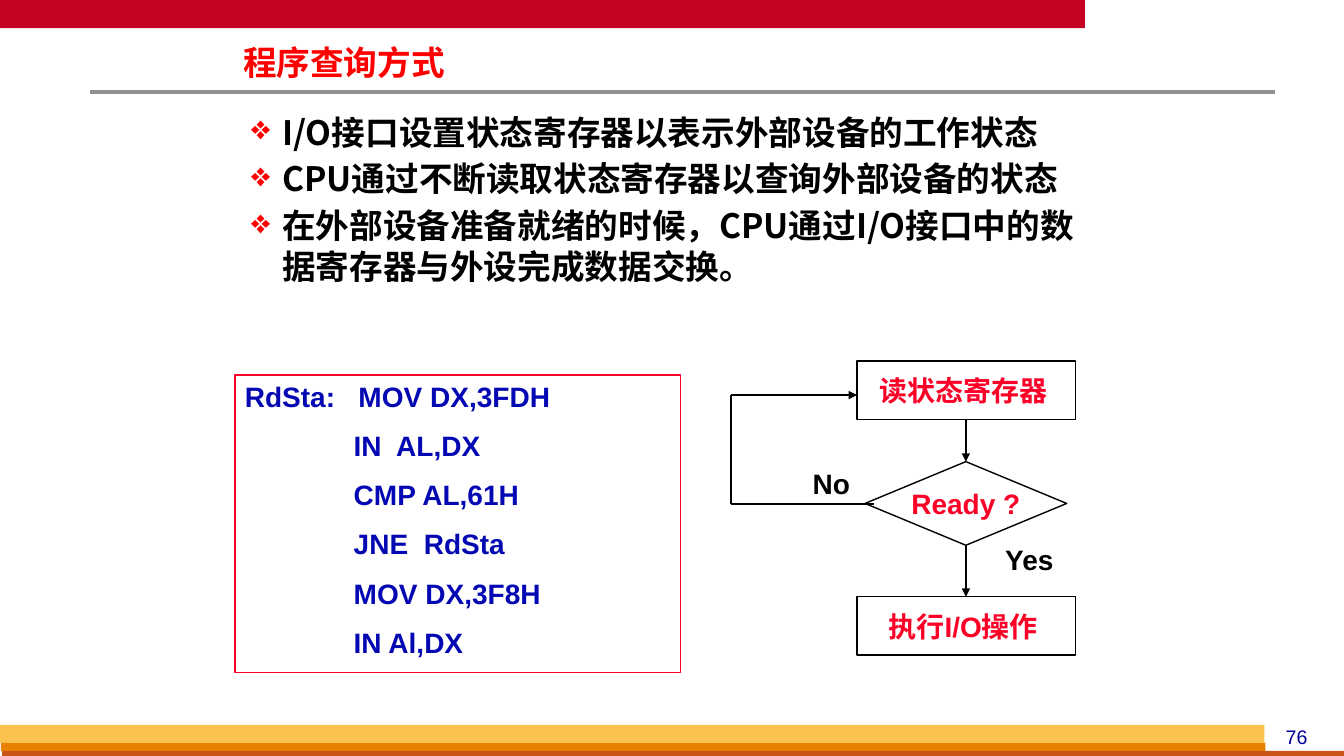
from lxml import etree
from pptx import Presentation
from pptx.dml.color import RGBColor
from pptx.enum.shapes import MSO_CONNECTOR, MSO_SHAPE
from pptx.enum.text import MSO_ANCHOR, PP_ALIGN
from pptx.oxml.ns import qn
from pptx.util import Inches, Pt

RECTANGLE = MSO_SHAPE.RECTANGLE
DIAMOND = MSO_SHAPE.DIAMOND
STRAIGHT = MSO_CONNECTOR.STRAIGHT
LEFT, CENTER = PP_ALIGN.LEFT, PP_ALIGN.CENTER
TOP, MIDDLE = MSO_ANCHOR.TOP, MSO_ANCHOR.MIDDLE

CJK_FONT = "Noto Sans CJK SC"
BLACK, RED, BRIGHT_RED = "000000", "FF0000", "FC0128"
CODE_INDENT = 14

BARS = [
    (0, 0, 10.76, 0.28, "C30224"),
    (0.01, 7.37, 12.54, 0.08, "E88000"),
    (0.02, 7.45, 13.31, 0.05, "C95616"),
    (0, 7.19, 12.54, 0.18, "FCC24F"),
]
POINTS = [
    "I/O接口设置状态寄存器以表示外部设备的工作状态",
    "CPU通过不断读取状态寄存器以查询外部设备的状态",
    "在外部设备准备就绪的时候，CPU通过I/O接口中的数据寄存器与外设完成数据交换。",
]
INSTRUCTIONS = ["IN  AL,DX", "CMP AL,61H", "JNE  RdSta", "MOV DX,3F8H", "IN Al,DX"]
FLOW_STEPS = [
    (RECTANGLE, 8.5, 3.58, 2.17, 0.58, "读状态寄存器 "),
    (DIAMOND, 8.58, 4.58, 2, 0.83, "Ready ?"),
    (RECTANGLE, 8.5, 5.92, 2.17, 0.58, "执行I/O操作 "),
]
FLOW_LINES = [
    ((9.58, 4.17), (9.58, 4.58), True),
    ((9.58, 5.42), (9.58, 5.92), True),
    ((8.67, 5), (7.25, 5), False),
    ((7.25, 5), (7.25, 3.92), False),
    ((7.25, 3.92), (8.5, 3.92), True),
]


def color(value):
    """Turn a hex string into a colour."""
    return RGBColor.from_string(value)


def add_bullet(paragraph):
    """Give a paragraph a red diamond bullet with a hanging indent."""
    properties = paragraph._p.get_or_add_pPr()
    properties.set("marL", str(Inches(0.31)))
    properties.set("indent", str(-Inches(0.31)))
    bullet_color = etree.SubElement(properties, qn("a:buClr"))
    etree.SubElement(bullet_color, qn("a:srgbClr")).set("val", RED)
    etree.SubElement(properties, qn("a:buChar")).set("char", "❖")


def write_text(shape, lines, size=20, font="Arial", fill=BLACK, bold=True, align=CENTER,
               anchor=TOP, insets=(0.1, 0.05), wrap=True, spacing=None,
               before=0, after=0, bullet=False):
    """Write lines as formatted paragraphs into a shape."""
    frame = shape.text_frame
    frame.word_wrap = wrap
    frame.vertical_anchor = anchor
    frame.margin_left = frame.margin_right = Inches(insets[0])
    frame.margin_top = frame.margin_bottom = Inches(insets[1])
    for index, line in enumerate(lines):
        paragraph = frame.add_paragraph() if index else frame.paragraphs[0]
        if bullet:
            add_bullet(paragraph)
        paragraph.alignment = align
        paragraph.line_spacing = spacing
        paragraph.space_before = Pt(before if index else 0)
        paragraph.space_after = Pt(after)
        run = paragraph.add_run()
        run.text = line
        run.font.size = Pt(size)
        run.font.bold = bold
        run.font.name = font
        run.font.color.rgb = color(fill)
        east_asian = etree.Element(qn("a:ea"))
        east_asian.set("typeface", CJK_FONT)
        run.font._rPr.find(qn("a:latin")).addnext(east_asian)


def add_box(slide, kind, left, top, width, height, fill=None, line=None):
    """Add a preset shape with an optional fill and outline."""
    shape = slide.shapes.add_shape(kind, Inches(left), Inches(top), Inches(width), Inches(height))
    shape.shadow.inherit = False
    if fill:
        shape.fill.solid()
        shape.fill.fore_color.rgb = color(fill)
    else:
        shape.fill.background()
    if line:
        shape.line.color.rgb = color(line)
        shape.line.width = Pt(1)
    else:
        shape.line.fill.background()
    return shape


def add_line(slide, start, end, stroke=BLACK, width=1, arrow=False):
    """Add a straight line, with an arrowhead at its end if asked."""
    connector = slide.shapes.add_connector(STRAIGHT, *map(Inches, start + end))
    connector.line.color.rgb = color(stroke)
    connector.line.width = Pt(width)
    if arrow:
        etree.SubElement(connector.line._get_or_add_ln(), qn("a:tailEnd")).set("type", "triangle")
    etree.SubElement(connector._element.spPr, qn("a:effectLst"))


def add_label(slide, left, top, width, height, lines, **text_format):
    """Add a text box holding formatted lines."""
    box = slide.shapes.add_textbox(Inches(left), Inches(top), Inches(width), Inches(height))
    write_text(box, lines, **text_format)


def add_title(slide, text):
    """Place and format the title placeholder."""
    title = slide.shapes.title
    title.left, title.top = Inches(2.34), Inches(0.44)
    title.width, title.height = Inches(5.75), Inches(0.41)
    write_text(title, [text], size=24, font=CJK_FONT, fill=RED, align=LEFT,
               anchor=MIDDLE, insets=(0.07, 0.03), spacing=0.87)


def add_frame(slide):
    """Add the coloured bars, the title rule and the slide number."""
    for left, top, width, height, fill in BARS:
        add_box(slide, RECTANGLE, left, top, width, height, fill=fill)
    add_line(slide, (0.89, 0.91), (12.65, 0.91), stroke="919191", width=3)
    add_label(slide, 12.44, 7.14, 0.84, 0.33, ["76"], size=14, fill="000099", bold=False)


def add_flowchart(slide):
    """Add the polling flowchart."""
    for kind, left, top, width, height, text in FLOW_STEPS:
        step = add_box(slide, kind, left, top, width, height, line=BLACK)
        write_text(step, [text], fill=BRIGHT_RED, anchor=MIDDLE, wrap=False)
    for start, end, arrow in FLOW_LINES:
        add_line(slide, start, end, arrow=arrow)
    add_label(slide, 7.83, 4.58, 0.83, 0.43, ["No"])
    add_label(slide, 9.75, 5.33, 0.92, 0.43, ["Yes"])


def add_code(slide):
    """Add the framed assembly listing."""
    listing = add_box(slide, RECTANGLE, 2.33, 3.72, 4.42, 2.95, line=BRIGHT_RED)
    lines = ["RdSta:   MOV DX,3FDH"] + [" " * CODE_INDENT + item for item in INSTRUCTIONS]
    write_text(listing, lines, fill="0408B2", align=LEFT, before=11)


def main():
    """Build the slide and save it."""
    presentation = Presentation()
    presentation.slide_width = Inches(13.33)
    presentation.slide_height = Inches(7.5)
    slide = presentation.slides.add_slide(presentation.slide_layouts[5])
    add_frame(slide)
    add_title(slide, "程序查询方式")
    add_label(slide, 2.42, 1.07, 8.58, 2.16, POINTS, size=24, font=CJK_FONT, align=LEFT,
              insets=(0.07, 0.03), spacing=1.02, before=2, after=2, bullet=True)
    add_flowchart(slide)
    add_code(slide)
    presentation.save("out.pptx")


if __name__ == "__main__":
    main()
